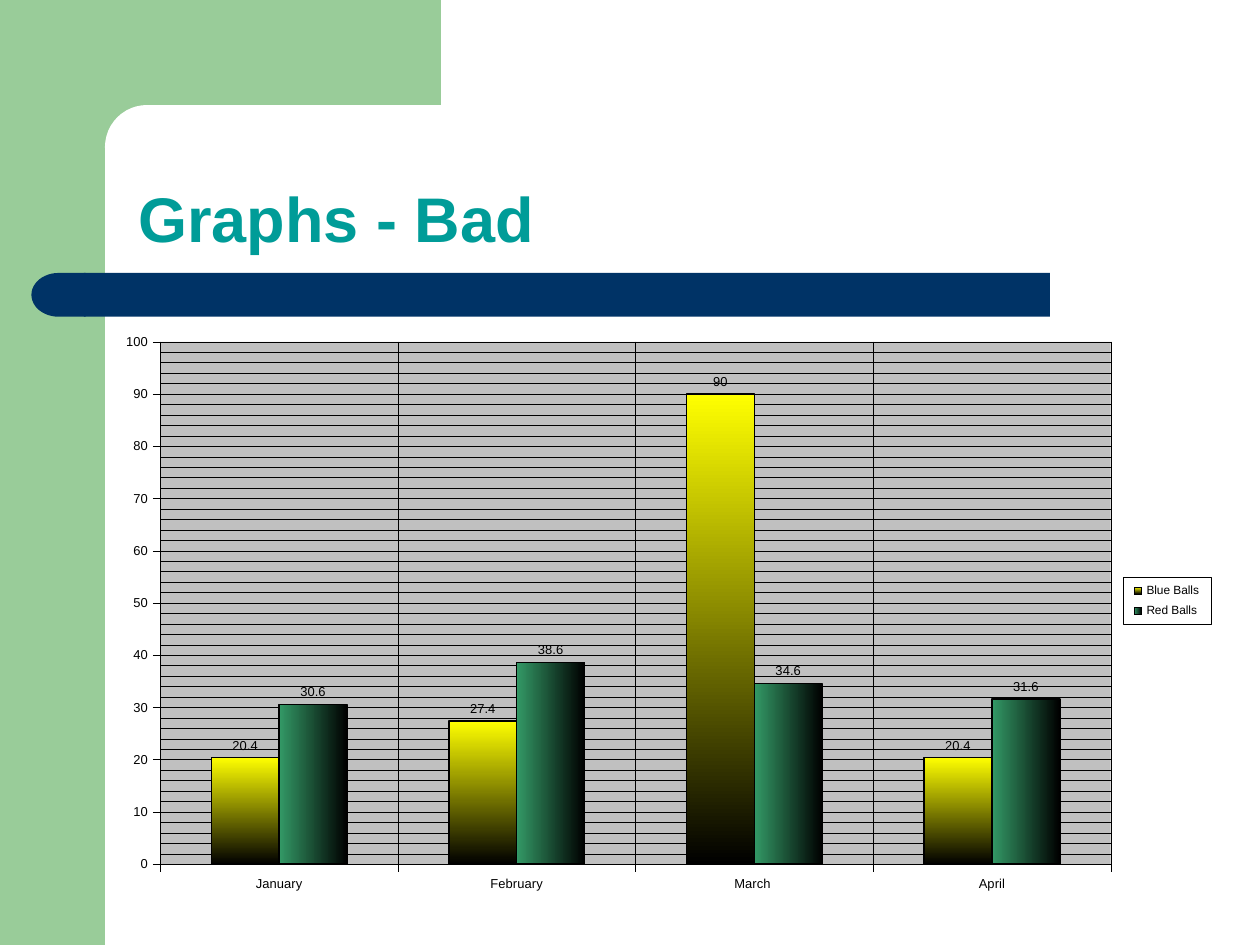
from lxml import etree
from pptx import Presentation
from pptx import util as u
from pptx.chart.data import CategoryChartData
from pptx.dml.color import RGBColor
from pptx.enum import chart as charts, shapes, text
from pptx.oxml import parse_xml
from pptx.oxml.ns import nsdecls, qn

Pt = u.Pt


def rgb(hex_color):
    return RGBColor.from_string(hex_color)


def format_font(font, size, color="000000", bold=False, name="Arial"):
    font.name, font.size, font.bold = name, Pt(size), bold
    font.color.rgb = rgb(color)


def write_text(frame, words, anchor=text.MSO_ANCHOR.BOTTOM, spacing=0.9, **font):
    frame.word_wrap = True
    frame.vertical_anchor = anchor
    paragraph = frame.paragraphs[0]
    paragraph.line_spacing = spacing
    run = paragraph.add_run()
    run.text = words
    format_font(run.font, **font)


def set_layout(parent, index, x, y, w, h, inner=False):
    """Place a chart part by fractions of the chart's size."""
    for old in parent.findall(qn("c:layout")):
        parent.remove(old)
    layout = etree.Element(qn("c:layout"))
    manual = etree.SubElement(layout, qn("c:manualLayout"))
    settings = [("layoutTarget", "inner")] if inner else []
    settings += [("xMode", "edge"), ("yMode", "edge"),
                 ("x", x), ("y", y), ("w", w), ("h", h)]
    for tag, value in settings:
        etree.SubElement(manual, qn(f"c:{tag}"), val=str(value))
    parent.insert(index, layout)


def part_style(line_width, fill=None, line="000000"):
    """Return shape properties for chart parts that have no format object."""
    paint = '<a:solidFill><a:srgbClr val="{}"/></a:solidFill>'
    return parse_xml(
        f'<c:spPr {nsdecls("c", "a")}>{paint.format(fill) if fill else ""}'
        f'<a:ln w="{Pt(line_width)}">{paint.format(line)}</a:ln></c:spPr>')


class Deck:
    green, navy, teal, white = "99CC99", "003366", "009C98", "FFFFFF"
    label_size, legend_size = 7.4, 6.8
    hairline, outline = 0.21, 0.85

    def __init__(self, width, height):
        self.file = Presentation()
        self.file.slide_width, self.file.slide_height = Pt(width), Pt(height)
        self.slide = self.file.slides.add_slide(self.file.slide_layouts[6])

    def block(self, kind, left, top, width, height, color):
        block = self.slide.shapes.add_shape(
            kind, Pt(left), Pt(top), Pt(width), Pt(height))
        block.shadow.inherit = False
        block.fill.solid()
        block.fill.fore_color.rgb = rgb(color)
        block.line.fill.background()
        return block

    def title(self, words, left, top, width, height):
        title = self.slide.shapes.add_textbox(
            Pt(left), Pt(top), Pt(width), Pt(height))
        write_text(title.text_frame, words, size=36, color=self.teal, bold=True)

    def style_axis(self, axis):
        axis.has_major_gridlines = True
        axis.major_tick_mark = charts.XL_TICK_MARK.OUTSIDE
        axis.minor_tick_mark = charts.XL_TICK_MARK.NONE
        format_font(axis.tick_labels.font, self.label_size)
        for line in (axis.format.line, axis.major_gridlines.format.line):
            line.color.rgb = rgb("000000")
            line.width = Pt(self.hairline)

    def style_series(self, series, color, angle):
        fill = series.format.fill
        fill.gradient()
        fill.gradient_angle = angle
        for stop, stop_color in zip(fill.gradient_stops, (color, "000000")):
            stop.color.rgb = rgb(stop_color)
        series.format.line.color.rgb = rgb("000000")
        series.format.line.width = Pt(self.outline)
        labels = series.data_labels
        labels.show_value = True
        labels.position = charts.XL_LABEL_POSITION.OUTSIDE_END
        format_font(labels.font, self.label_size)

    def style_legend(self, chart):
        chart.has_legend = True
        legend = chart.legend
        legend.position = charts.XL_LEGEND_POSITION.RIGHT
        legend.include_in_layout = False
        format_font(legend.font, self.legend_size)
        element = chart.element.find(".//" + qn("c:legend"))
        set_layout(element, 1, 0.92, 0.44, 0.08, 0.08)
        element.find(qn("c:txPr")).addprevious(
            part_style(self.hairline, self.white))

    def column_chart(self, categories, balls, left, top, width, height):
        data = CategoryChartData()
        data.categories = categories
        for name, values, *_ in balls:
            data.add_series(name, values)
        chart = self.slide.shapes.add_chart(
            charts.XL_CHART_TYPE.COLUMN_CLUSTERED,
            Pt(left), Pt(top), Pt(width), Pt(height), data).chart
        chart.has_title = False
        format_font(chart.font, self.label_size)

        columns = chart.plots[0]
        columns.vary_by_categories = False
        columns.gap_width, columns.overlap = 150, 0
        for series, (_, _, color, angle) in zip(columns.series, balls):
            self.style_series(series, color, angle)

        for axis in (chart.category_axis, chart.value_axis):
            self.style_axis(axis)
        scale = chart.value_axis
        scale.minimum_scale, scale.maximum_scale = 0, 100
        scale.major_unit, scale.minor_unit = 10, 2
        scale.has_minor_gridlines = True

        plot_area = chart.element.find(".//" + qn("c:plotArea"))
        plot_area.find(".//" + qn("c:minorGridlines")).append(
            part_style(self.hairline))
        set_layout(plot_area, 0, 0.044, 0.041, 0.865, 0.886, inner=True)
        plot_area.append(part_style(self.hairline, "C0C0C0"))
        self.style_legend(chart)


def main():
    deck = Deck(720, 540)
    kinds = shapes.MSO_SHAPE
    deck.block(kinds.RECTANGLE, 0, 0, 60, 540, deck.green)
    deck.block(kinds.RECTANGLE, 54, 0, 198, 84, deck.green)
    page_corner = deck.block(kinds.ROUNDED_RECTANGLE, 60, 60, 402, 48, deck.white)
    page_corner.adjustments[0] = 0.5
    deck.block(kinds.RECTANGLE, 48, 156, 552, 25, deck.navy)
    bar_end = deck.block(kinds.FLOWCHART_DELAY, 18, 156, 31, 25, deck.navy)
    bar_end.element.spPr.find(qn("a:xfrm")).set("flipH", "1")

    deck.title("Graphs - Bad", 72, 60, 630, 90)
    deck.column_chart(
        ["January", "February", "March ", "April"],
        [("Blue Balls", (20.4, 27.4, 90, 20.4), "FFFF00", 270),
         ("Red Balls", (30.6, 38.6, 34.6, 31.6), "339966", 0)],
        64, 181.5, 628, 337)
    deck.file.save("out.pptx")


if __name__ == "__main__":
    main()
